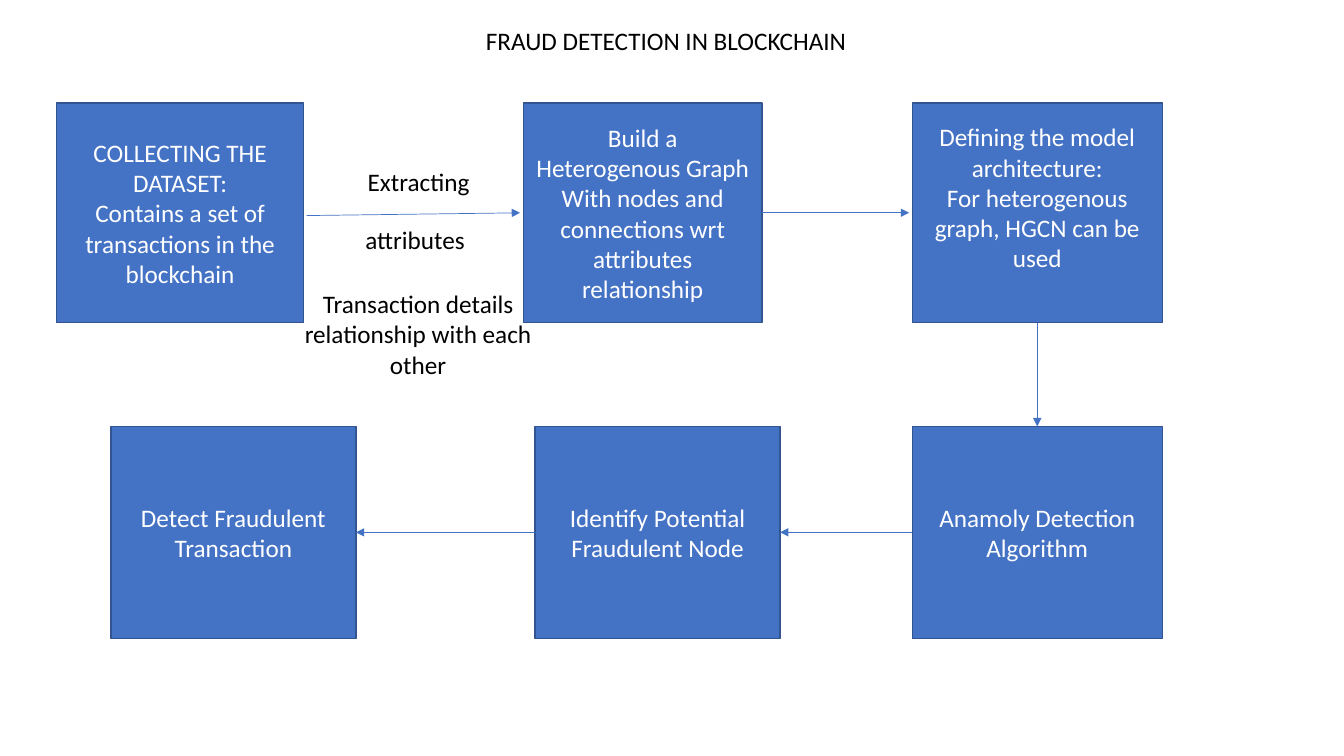
from lxml.etree import SubElement
from pptx import Presentation
from pptx.dml.color import RGBColor
from pptx.enum.shapes import MSO_CONNECTOR as Link, MSO_SHAPE as Preset
from pptx.enum.text import MSO_ANCHOR as Anchor, PP_ALIGN as Align
from pptx.oxml.ns import qn
from pptx.util import Pt

COLORS = {"box": "4472C4", "edge": "325491", "light": "FFFFFF", "dark": "000000"}


def color(name):
    return RGBColor.from_string(COLORS[name])


def write(shape, *paragraphs, ink="dark", align=Align.CENTER, anchor=Anchor.TOP, bottom=3.6):
    frame = shape.text_frame
    frame.word_wrap = True
    frame.vertical_anchor = anchor
    frame.margin_bottom = Pt(bottom)
    frame.text = "\n".join(paragraphs)
    for paragraph in frame.paragraphs:
        paragraph.alignment = align
        font = paragraph.runs[0].font
        font.name, font.size = "Calibri", Pt(18)
        font.color.rgb = color(ink)


deck = Presentation()
deck.slide_width, deck.slide_height = Pt(960), Pt(540)
slide = deck.slides.add_slide(deck.slide_layouts[6])
shapes = slide.shapes

TOP_ROW = (73.5, 157)
BOTTOM_ROW = (304.5, 151.5)
steps = [
    ("collect", 40.4, 176.6, TOP_ROW, 3.6,
     ["COLLECTING THE DATASET:", "Contains a set of transactions in the blockchain"]),
    ("graph", 373.8, 170.6, TOP_ROW, 3.6,
     ["Build a Heterogenous Graph", "With nodes and connections wrt attributes relationship"]),
    ("model", 651.6, 178.6, TOP_ROW, 25.6,
     ["Defining the model architecture:", "For heterogenous graph, HGCN can be used"]),
    ("anomaly", 651.6, 178.6, BOTTOM_ROW, 3.6, ["Anamoly Detection Algorithm"]),
    ("identify", 382.2, 175, BOTTOM_ROW, 3.6, ["Identify Potential Fraudulent Node"]),
    ("detect", 79.2, 175, BOTTOM_ROW, 3.6, ["Detect Fraudulent Transaction"]),
]
boxes = {}
for step, left, width, (top, height), bottom, lines in steps:
    box = shapes.add_shape(Preset.RECTANGLE, Pt(left), Pt(top), Pt(width), Pt(height))
    box.shadow.inherit = False
    box.fill.solid()
    box.fill.fore_color.rgb = color("box")
    box.line.color.rgb = color("edge")
    box.line.width = Pt(1)
    write(box, *lines, ink="light", anchor=Anchor.MIDDLE, bottom=bottom)
    boxes[step] = box

labels = [
    ("FRAUD DETECTION IN BLOCKCHAIN", 340, 14.5, 383, 29, Align.LEFT),
    ("Extracting", 224, 115.5, 150, 29, Align.CENTER),
    ("attributes", 224, 156.5, 145, 29, Align.CENTER),
    ("Transaction details relationship with each other", 205.4, 202.5, 186.5, 73, Align.CENTER),
]
for label, left, top, width, height, align in labels:
    write(shapes.add_textbox(Pt(left), Pt(top), Pt(width), Pt(height)), label, align=align)

arrows = [
    ((219, 154), (371.5, 152), None, None),
    ((544.4, 152), (649.4, 152), ("graph", 3), None),
    ((740.9, 230.5), (740.9, 304.5), ("model", 2), ("anomaly", 0)),
    ((651.6, 380.25), (557.2, 380.25), ("anomaly", 1), ("identify", 3)),
    ((382.2, 380.25), (254.2, 380.25), ("identify", 1), ("detect", 3)),
]
for (x1, y1), (x2, y2), source, target in arrows:
    arrow = shapes.add_connector(Link.STRAIGHT, Pt(x1), Pt(y1), Pt(x2), Pt(y2))
    if source:
        arrow.begin_connect(boxes[source[0]], source[1])
    if target:
        arrow.end_connect(boxes[target[0]], target[1])
    arrow.line.color.rgb = color("box")
    arrow.line.width = Pt(0.5)
    SubElement(arrow.line._get_or_add_ln(), qn("a:tailEnd"), type="triangle")
    SubElement(arrow._element.spPr, qn("a:effectLst"))

deck.save("out.pptx")
